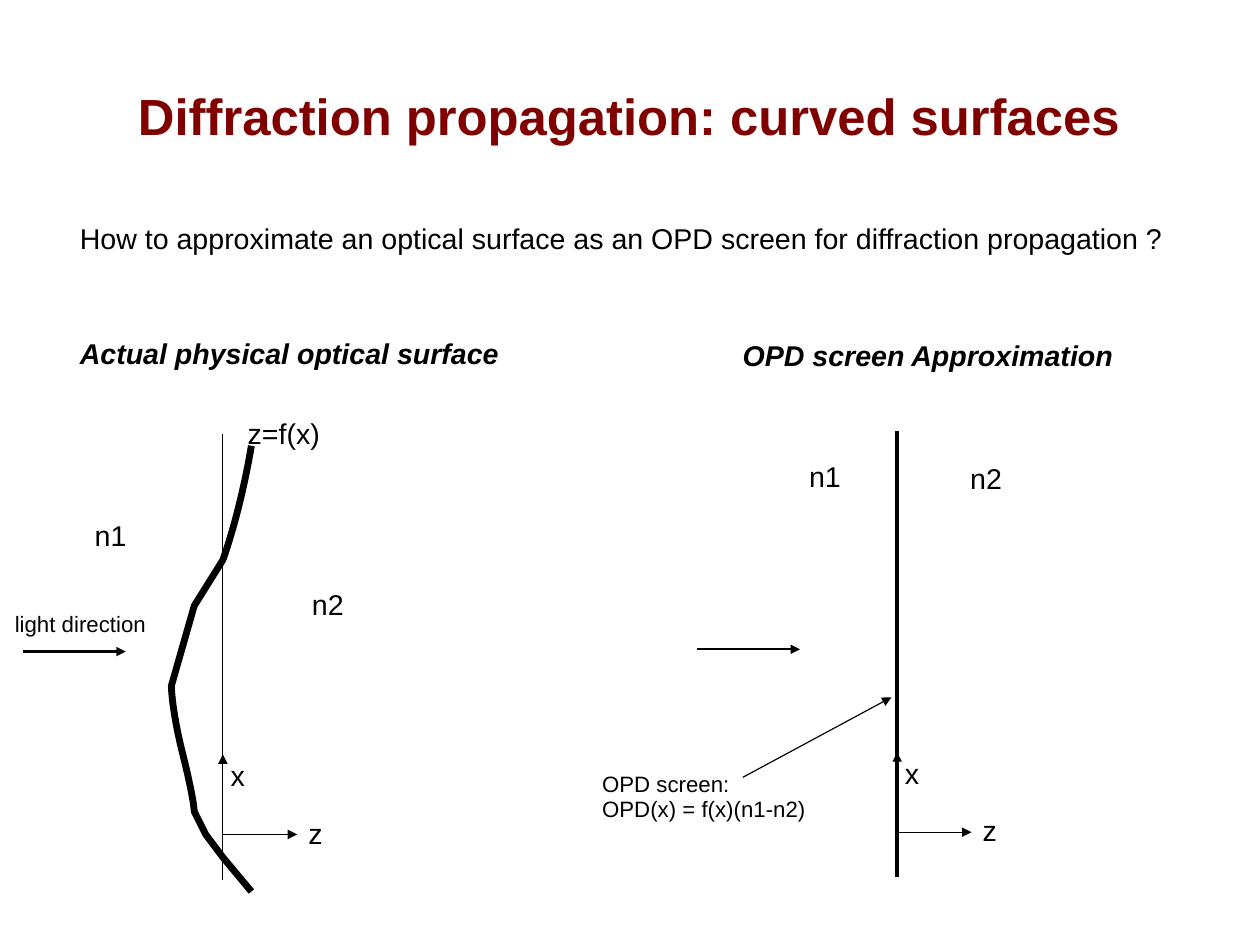
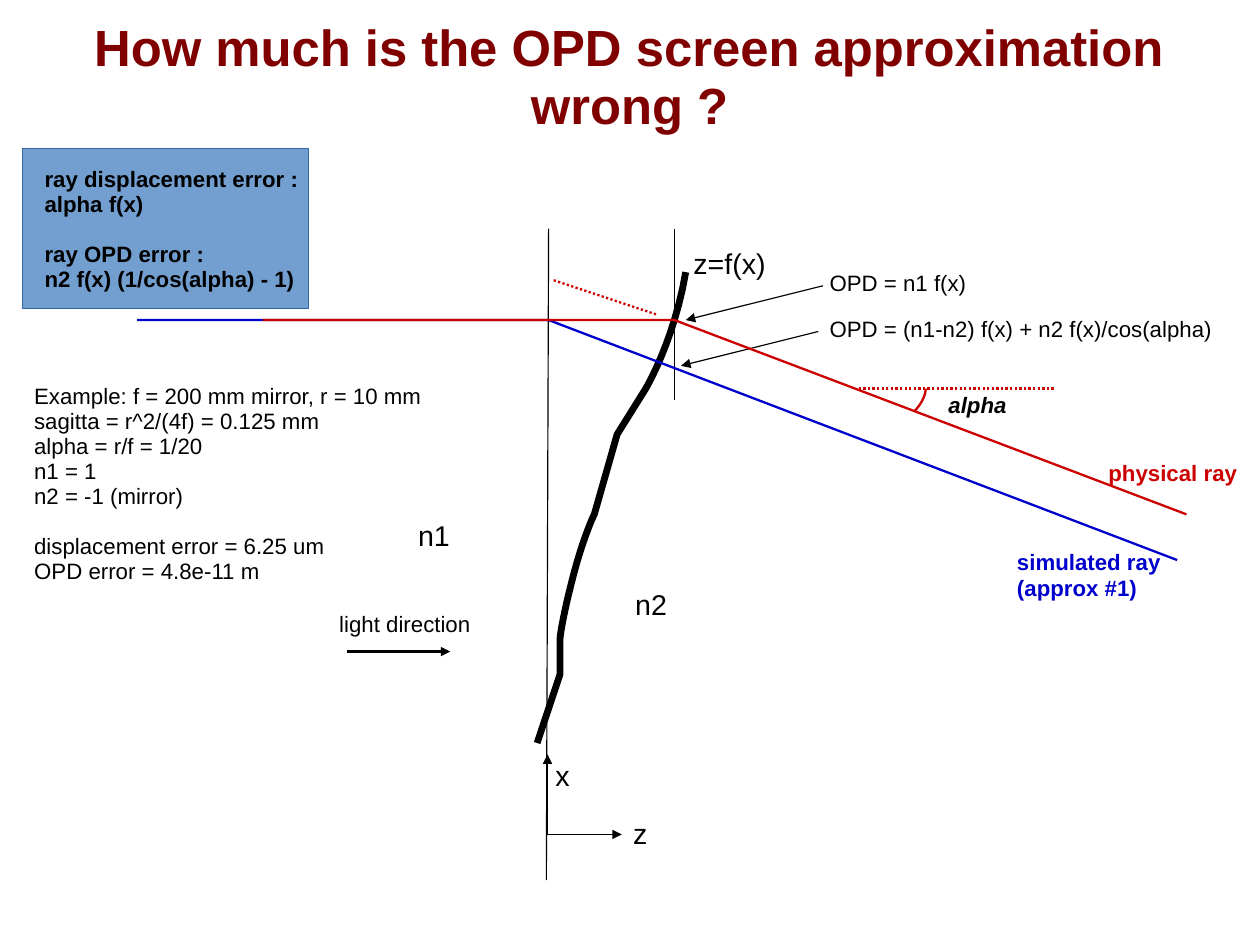
import pptx
import pptx.util
import pptx.dml.color
import pptx.enum.dml
import pptx.enum.shapes
import pptx.enum.text
from lxml import etree
from pptx.oxml.ns import qn

Pt = pptx.util.Pt
FONT = "Arial"
BLACK, MAROON, RED, BLUE = "000000", "800000", "CC0000", "0000CC"
BOX_FILL, BOX_EDGE = "729FCF", "3465A4"
THIN, RAY, SCREEN, SURFACE = 0.75, 1.45, 2.9, 4.3
LINE_SPACING = 0.94
BOLD_ITALIC = {"bold": True, "italic": True}

# Text: (text, left, top, width, size, style); a blank line starts a spaced group.
# Lines: (start, end, width, style).
# Outlines: (points, colour, width); a triple of points is a Bézier segment.
SLIDES = [
    {
        "title": "Diffraction propagation: curved surfaces",
        "title_top": 23.8,
        "axes": [(140.4, 525.6), (565.2, 524.2)],
        "outlines": [
            ([(158.4, 280.8),
              ((151.2, 324), (140.4, 352.8), (140.4, 352.8)),
              (122.4, 381.6), (108, 432),
              ((108, 432), (108, 446.4), (115.2, 475.2)),
              ((122.4, 504), (122.4, 511.2), (122.4, 511.2)),
              (129.6, 525.6), (140.4, 540), (158.4, 561.6)], BLACK, SURFACE),
        ],
        "lines": [
            ((140.4, 273.6), (140.4, 554.4), THIN, {}),
            ((565.2, 271.4), (565.2, 552.2), SCREEN, {}),
            ((468, 489.6), (561.6, 439.2), THIN, {"arrow": True}),
        ],
        "texts": [
            ("How to approximate an optical surface as an OPD screen for diffraction propagation ?",
             43.2, 136.8, 694.8, 18, {}),
            ("Actual physical optical surface", 43.2, 208.8, 277.9, 18, BOLD_ITALIC),
            ("OPD screen Approximation", 460.8, 210.2, 247.7, 18, BOLD_ITALIC),
            ("z=f(x)", 149, 259.2, 59.8, 18, {}),
            ("n1", 52.6, 324, 33.8, 18, {}),
            ("n2", 189.4, 367.2, 33.8, 18, {}),
            ("n1", 502.6, 286.6, 33.8, 18, {}),
            ("n2", 604.1, 288, 33.8, 18, {}),
            ("light direction", 2.2, 381.6, 97.2, 14, {}),
            ("OPD screen:\nOPD(x) = f(x)(n1-n2)", 372.2, 482.4, 142.6, 14, {}),
        ],
    },
    {
        "title": "How much is the OPD screen approximation wrong ?",
        "title_top": -1.4,
        "panel": ("ray displacement error :\nalpha f(x)\n\n"
                  "ray OPD error :\nn2 f(x) (1/cos(alpha) - 1)", 14.4, 93.6, 180, 100.8),
        "axes": [(344.9, 525.6)],
        "outlines": [
            ([(432, 171.4),
              ((424.8, 214.6), (406.8, 244.8), (406.8, 244.8)),
              (388.8, 273.6), (374.4, 324),
              ((374.4, 324), (367.2, 338.4), (360, 367.2)),
              ((352.8, 396), (352.8, 403.2), (352.8, 403.2)),
              (352.8, 424.8), (345.6, 446.4), (338.4, 468)], BLACK, SURFACE),
            ([(86.4, 201.6), (345.6, 201.6), (741.6, 352.8)], BLUE, RAY),
            ([(165.6, 201.6), (424.8, 201.6), (747.4, 324)], RED, RAY),
            ([(583.2, 244.8), ((583.2, 252), (576, 259.2), (576, 259.2))], RED, RAY),
        ],
        "lines": [
            ((345.6, 144), (344.2, 554.4), THIN, {}),
            ((424.8, 144), (424.8, 252), THIN, {}),
            ((413.3, 198), (348.5, 176.4), RAY, {"color": RED, "dotted": True}),
            ((663.8, 244.8), (541.4, 244.8), RAY, {"color": RED, "dotted": True}),
            ((518.4, 180), (432, 201.6), THIN, {"arrow": True}),
            ((515.5, 208.8), (429.1, 230.4), THIN, {"arrow": True}),
        ],
        "texts": [
            ("z=f(x)", 429.8, 152.6, 59.8, 18, {}),
            ("n1", 256.3, 324, 33.8, 18, {}),
            ("n2", 393.1, 367.2, 33.8, 18, {}),
            ("light direction", 206.6, 381.6, 97.2, 14, {}),
            ("simulated ray\n(approx #1)", 633.6, 342.7, 105.1, 14,
             {"bold": True, "color": BLUE}),
            ("physical ray", 691.2, 286.6, 95.8, 14, {"bold": True, "color": RED}),
            ("alpha", 590.4, 243.4, 51.1, 14, BOLD_ITALIC),
            ("OPD = n1 f(x)", 515.5, 167, 100.8, 14, {}),
            ("OPD = (n1-n2) f(x) + n2 f(x)/cos(alpha)", 515.5, 195.8, 256.3, 14, {}),
            ("Example: f = 200 mm mirror, r = 10 mm\nsagitta = r^2/(4f) = 0.125 mm\n"
             "alpha = r/f = 1/20\nn1 = 1\nn2 = -1 (mirror)\n\n"
             "displacement error = 6.25 um\nOPD error = 4.8e-11 m",
             14.4, 237.6, 258.5, 14, {}),
        ],
    },
]


def rgb(value):
    return pptx.dml.color.RGBColor.from_string(value)


def set_insets(frame, left, top, right, bottom):
    frame.margin_left, frame.margin_top = Pt(left), Pt(top)
    frame.margin_right, frame.margin_bottom = Pt(right), Pt(bottom)


def style_para(para, size, color=BLACK, bold=False, italic=False):
    para.line_spacing = LINE_SPACING
    font = para.font
    font.name, font.size, font.bold, font.italic = FONT, Pt(size), bold, italic
    font.color.rgb = rgb(color)


def write_text(frame, text, size, **style):
    """Write one paragraph a line; a blank line becomes space before the next group."""
    para = None
    for group in text.split("\n\n"):
        for index, line in enumerate(group.split("\n")):
            starts_group = para is not None and index == 0
            para = frame.paragraphs[0] if para is None else frame.add_paragraph()
            para.text = line
            para.alignment = pptx.enum.text.PP_ALIGN.LEFT
            para.space_before = Pt(size * 1.125 if starts_group else 0)
            style_para(para, size, **style)


def add_text(page, text, left, top, width, size, style):
    height = 7.2 + size * 1.125 * len(text.split("\n"))
    box = page.shapes.add_textbox(Pt(left), Pt(top), Pt(width), Pt(height))
    box.text_frame.word_wrap = True
    set_insets(box.text_frame, 7.2, 4.3, 0, 3.6)
    write_text(box.text_frame, text, size, **style)


def add_panel(page, text, left, top, width, height):
    panel = page.shapes.add_shape(pptx.enum.shapes.MSO_SHAPE.RECTANGLE,
                                  Pt(left), Pt(top), Pt(width), Pt(height))
    panel.shadow.inherit = False
    panel.fill.solid()
    panel.fill.fore_color.rgb = rgb(BOX_FILL)
    panel.line.color.rgb = rgb(BOX_EDGE)
    panel.line.width = Pt(THIN)
    frame = panel.text_frame
    frame.word_wrap = True
    frame.vertical_anchor = pptx.enum.text.MSO_ANCHOR.TOP
    set_insets(frame, 13.7, 12, 0, 0)
    write_text(frame, text, 14, bold=True)


def add_line(page, start, end, width, color=BLACK, dotted=False, arrow=False):
    line = page.shapes.add_connector(pptx.enum.shapes.MSO_CONNECTOR.STRAIGHT,
                                     *(Pt(value) for value in start + end))
    line.line.color.rgb = rgb(color)
    line.line.width = Pt(width)
    if dotted:
        line.line.dash_style = pptx.enum.dml.MSO_LINE.ROUND_DOT
    properties = line._element.spPr
    if arrow:
        etree.SubElement(properties.find(qn("a:ln")), qn("a:tailEnd"), type="triangle")
    etree.SubElement(properties, qn("a:effectLst"))


def bezier(start, first, second, end, steps=12):
    """Return the points of a cubic curve after its start."""
    points = []
    for step in range(1, steps + 1):
        t = step / steps
        weights = ((1 - t) ** 3, 3 * t * (1 - t) ** 2, 3 * t * t * (1 - t), t ** 3)
        points.append(tuple(sum(w * v for w, v in zip(weights, values))
                            for values in zip(start, first, second, end)))
    return points


def add_outline(page, segments, color, width):
    points = [segments[0]]
    for segment in segments[1:]:
        points += bezier(points[-1], *segment) if len(segment) == 3 else [segment]
    corners = [(Pt(x), Pt(y)) for x, y in points]
    builder = page.shapes.build_freeform(*corners[0])
    builder.add_line_segments(corners[1:], close=False)
    outline = builder.convert_to_shape()
    outline.shadow.inherit = False
    outline.fill.background()
    outline.line.color.rgb = rgb(color)
    outline.line.width = Pt(width)


def add_axes(page, x, y):
    """Draw the x and z axes from their origin, and the light arrow beside them."""
    add_line(page, (x, y), (x, y - 50.4), THIN, arrow=True)
    add_line(page, (x, y), (x + 46.8, y), THIN, arrow=True)
    add_line(page, (x - 126, y - 115.2), (x - 61.2, y - 115.2), RAY, arrow=True)
    add_text(page, "x", x - 2.2, y - 50.4, 23, 18, {})
    add_text(page, "z", x + 46.8, y - 14.4, 23, 18, {})


def set_title(page, text, top):
    title = page.shapes.title
    title.left, title.top, title.width, title.height = Pt(39.6), Pt(top), Pt(714.2), Pt(99.4)
    frame = title.text_frame
    frame.text = text
    frame.word_wrap = True
    frame.auto_size = pptx.enum.text.MSO_AUTO_SIZE.NONE
    frame.vertical_anchor = pptx.enum.text.MSO_ANCHOR.MIDDLE
    set_insets(frame, 0, 2.2, 0, 0)
    para = frame.paragraphs[0]
    para.alignment = pptx.enum.text.PP_ALIGN.CENTER
    style_para(para, 32, color=MAROON, bold=True)


def main():
    deck = pptx.Presentation()
    deck.slide_width, deck.slide_height = Pt(793.75), Pt(595.25)
    title_only = deck.slide_layouts[5]
    for content in SLIDES:
        page = deck.slides.add_slide(title_only)
        set_title(page, content["title"], content["title_top"])
        if "panel" in content:
            add_panel(page, *content["panel"])
        for start, end, width, style in content["lines"]:
            add_line(page, start, end, width, **style)
        for outline in content["outlines"]:
            add_outline(page, *outline)
        for origin in content["axes"]:
            add_axes(page, *origin)
        for text in content["texts"]:
            add_text(page, *text)
    deck.save("out.pptx")


if __name__ == "__main__":
    main()
